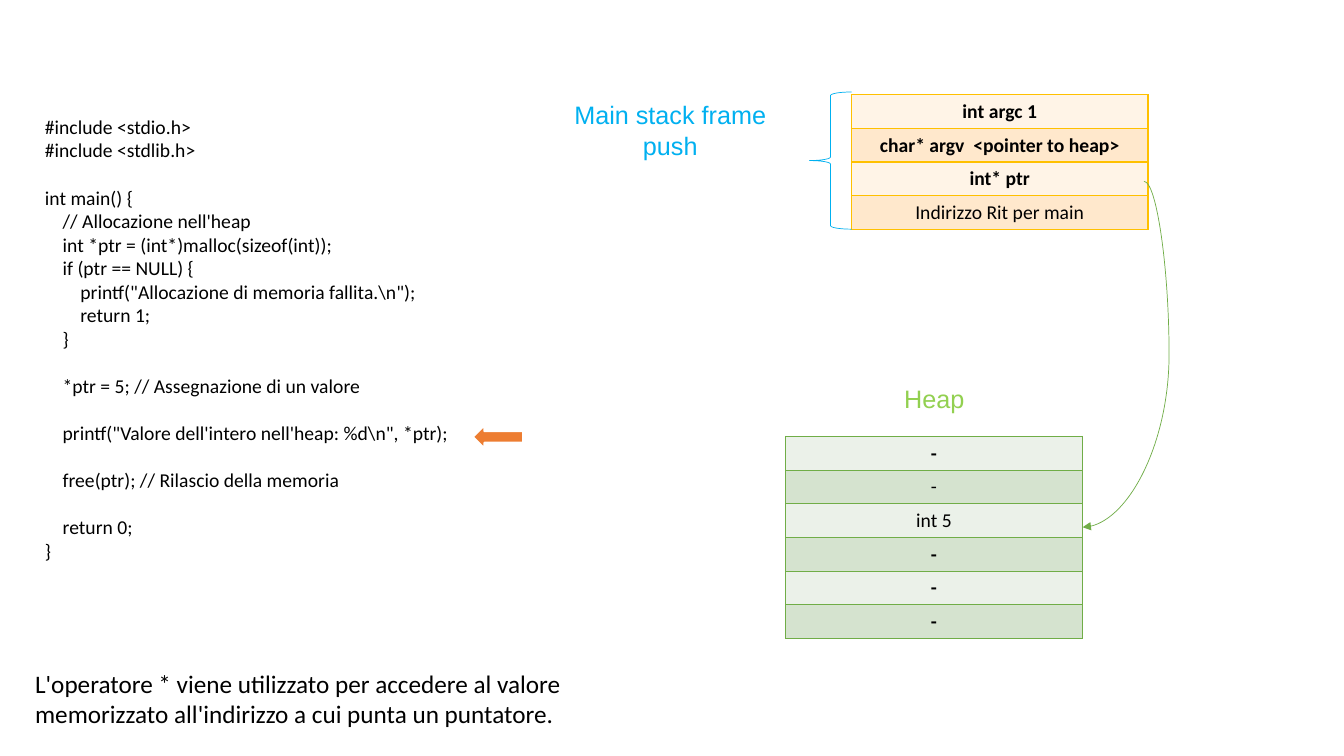
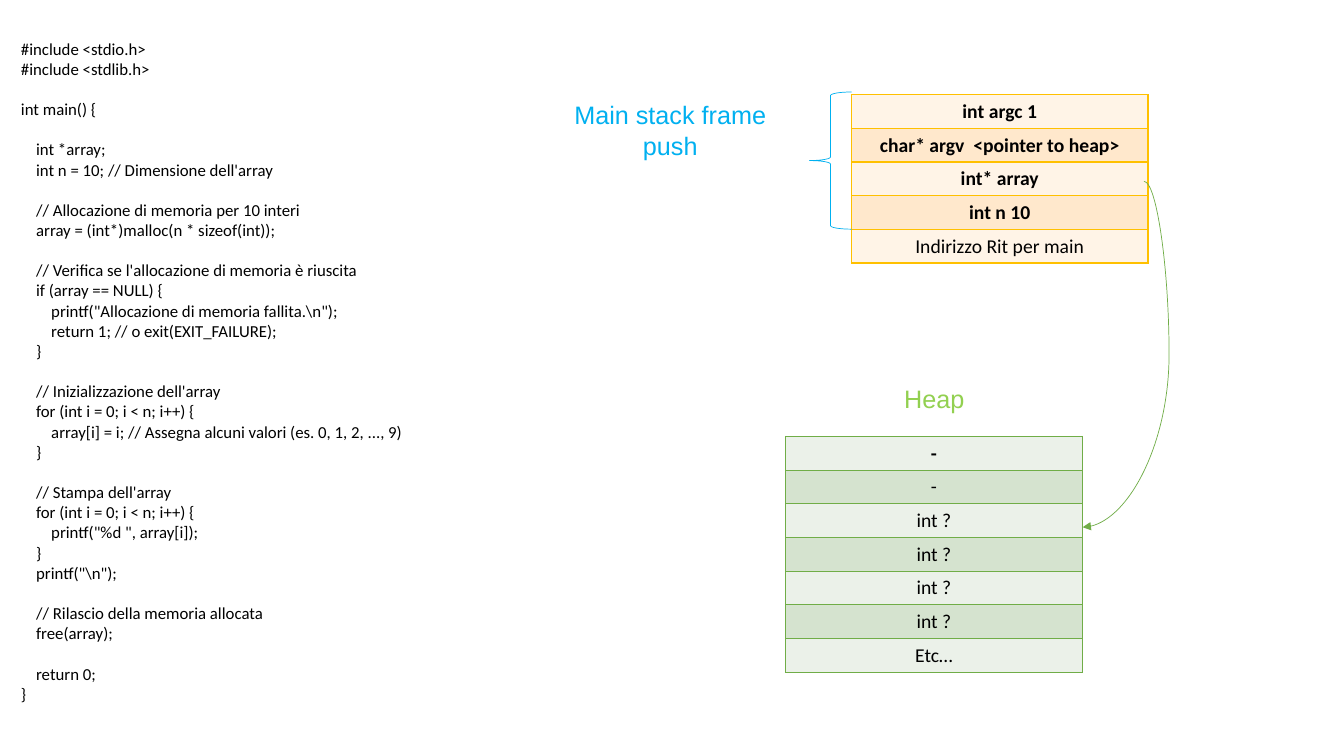
"""Two slides that trace C pointers between the stack and the heap."""
from lxml import etree
from pptx import Presentation
from pptx.dml.color import RGBColor
from pptx.enum.shapes import MSO_CONNECTOR, MSO_SHAPE
from pptx.enum.text import PP_ALIGN
from pptx.oxml.ns import qn
from pptx.util import Pt

LEFT, MID = PP_ALIGN.LEFT, PP_ALIGN.CENTER
BRACE, ARROW = MSO_SHAPE.LEFT_BRACE, MSO_SHAPE.RIGHT_ARROW
CURVE = MSO_CONNECTOR.CURVE

BLACK, WHITE, ORANGE = "000000", "FFFFFF", "ED7D31"
BLUE, LIME, GOLD, GREEN = "00B0F0", "92D050", "FFC000", "70AD47"
ROW, WIDE = 24, 211.7
LEADING = 1.2

STACK = {"spot": (608.3, 67.7), "edge": GOLD, "bands": ("FFF4E7", "FFE8CC")}
HEAP = {"spot": (561.3, 311.8), "edge": GREEN, "bands": ("EBF1E9", "D5E3CF")}
ARGS = [("int argc 1", True), ("char* argv  <pointer to heap>", True)]
BACK = ("Indirizzo Rit per main", False)
FREE = [("-", True), ("-", False)]
LABELS = [
    ("Main stack frame push", (396, 67.7, 165.6, 51), BLUE),
    ("Heap", (584.6, 270, 165.6, 29), LIME),
]

SLIDES = [
    {
        "code": r"""#include <stdio.h>
#include <stdlib.h>

int main() {
    // Allocazione nell'heap
    int *ptr = (int*)malloc(sizeof(int));
    if (ptr == NULL) {
        printf("Allocazione di memoria fallita.\n");
        return 1;
    }

    *ptr = 5; // Assegnazione di un valore

    printf("Valore dell'intero nell'heap: %d\n", *ptr);

    free(ptr); // Rilascio della memoria

    return 0;
}""",
        "box": (25, 78.5, 337.7, 329.8),
        "size": 14,
        "stack": ARGS + [("int* ptr", True), BACK],
        "heap": FREE + [("int 5", False)] + [("-", True)] * 3,
        "mark": (337.7, 303.8, 36, 16.6),
        "note": "L'operatore * viene utilizzato per accedere al valore "
                "memorizzato all'indirizzo a cui punta un puntatore.",
    },
    {
        "code": r"""#include <stdio.h>
#include <stdlib.h>

int main() {

    int *array;
    int n = 10; // Dimensione dell'array

    // Allocazione di memoria per 10 interi
    array = (int*)malloc(n * sizeof(int));

    // Verifica se l'allocazione di memoria è riuscita
    if (array == NULL) {
        printf("Allocazione di memoria fallita.\n");
        return 1; // o exit(EXIT_FAILURE);
    }

    // Inizializzazione dell'array
    for (int i = 0; i < n; i++) {
        array[i] = i; // Assegna alcuni valori (es. 0, 1, 2, ..., 9)
    }

    // Stampa dell'array
    for (int i = 0; i < n; i++) {
        printf("%d ", array[i]);
    }
    printf("\n");

    // Rilascio della memoria allocata
    free(array);

    return 0;
}""",
        "box": (7.9, 23.8, 480, 487),
        "size": 12,
        "stack": ARGS + [("int* array", True), ("int n 10", True), BACK],
        "heap": FREE + [("int ?", False)] * 4 + [("Etc…", False)],
    },
]


def rgb(code):
    return RGBColor.from_string(code)


def pts(*nums):
    return [Pt(num) for num in nums]


def put(item, **vals):
    for name, val in vals.items():
        setattr(item, name, val)


def write(para, text, size, tone=BLACK, face="Calibri", bold=False, align=LEFT):
    para.alignment = align
    run = para.add_run()
    run.text = text
    put(run.font, size=Pt(size), name=face, bold=bold)
    run.font.color.rgb = rgb(tone)


def add_text(slide, box):
    frame = slide.shapes.add_textbox(*pts(*box)).text_frame
    frame.word_wrap = True
    return frame


def add_code(slide, code, box, size):
    frame = add_text(slide, box)
    para, gap = frame.paragraphs[0], 0
    for num, line in enumerate(code.splitlines()):
        if not line:
            gap = size * LEADING
            continue
        if num:
            para = frame.add_paragraph()
        if gap:
            para.space_before = Pt(gap)
        write(para, line, size)
        gap = 0


def add_edge(cell, tone):
    props = cell._tc.get_or_add_tcPr()
    for num, side in enumerate(("lnL", "lnR", "lnT", "lnB")):
        line = etree.Element(qn("a:" + side), w=str(Pt(1)))
        fill = etree.SubElement(line, qn("a:solidFill"))
        etree.SubElement(fill, qn("a:srgbClr"), val=tone)
        props.insert(num, line)


def add_cells(slide, rows, spot, edge, bands):
    size = (WIDE, ROW * len(rows))
    table = slide.shapes.add_table(len(rows), 1, *pts(*spot, *size)).table
    put(table, first_row=False, horz_banding=False)
    for num, (text, bold) in enumerate(rows):
        table.rows[num].height = Pt(ROW)
        cell = table.cell(num, 0)
        cell.fill.solid()
        cell.fill.fore_color.rgb = rgb(bands[num % 2])
        add_edge(cell, edge)
        write(cell.text_frame.paragraphs[0], text, 14, bold=bold, align=MID)


def add_form(slide, kind, box, edge, width, fill=None, turn=0):
    form = slide.shapes.add_shape(kind, *pts(*box))
    form.shadow.inherit = False
    form.rotation = turn
    form.line.color.rgb = rgb(edge)
    form.line.width = Pt(width)
    if fill:
        form.fill.solid()
        form.fill.fore_color.rgb = rgb(fill)
    else:
        form.fill.background()


def add_link(slide):
    link = slide.shapes.add_connector(CURVE, *pts(817.2, 129.6, 773.3, 376.6))
    link.line.color.rgb = rgb(GREEN)
    link.line.width = Pt(0.5)
    etree.SubElement(link.line._get_or_add_ln(), qn("a:tailEnd"), type="triangle")
    props = link._element.spPr
    etree.SubElement(props, qn("a:effectLst"))
    bend = props.find(qn("a:prstGeom")).find(qn("a:avLst"))
    etree.SubElement(bend, qn("a:gd"), name="adj1", fmla="val -40800")


def build(slide, data):
    add_code(slide, data["code"], data["box"], data["size"])
    add_cells(slide, data["stack"], **STACK)
    add_form(slide, BRACE, (578.2, 65.7, 30.1, 98), BLUE, 0.5)
    for text, box, tone in LABELS:
        para = add_text(slide, box).paragraphs[0]
        write(para, text, 18, tone, "Arial", align=MID)
    add_cells(slide, data["heap"], **HEAP)
    if "mark" in data:
        add_form(slide, ARROW, data["mark"], WHITE, 1.5, ORANGE, 180)
    add_link(slide)
    if "note" in data:
        frame = add_text(slide, (18, 473.8, 480, 51))
        write(frame.paragraphs[0], data["note"], 18)


def main():
    deck = Presentation()
    put(deck, slide_width=Pt(960), slide_height=Pt(540))
    for data in SLIDES:
        build(deck.slides.add_slide(deck.slide_layouts[6]), data)
    deck.save("out.pptx")


if __name__ == "__main__":
    main()
